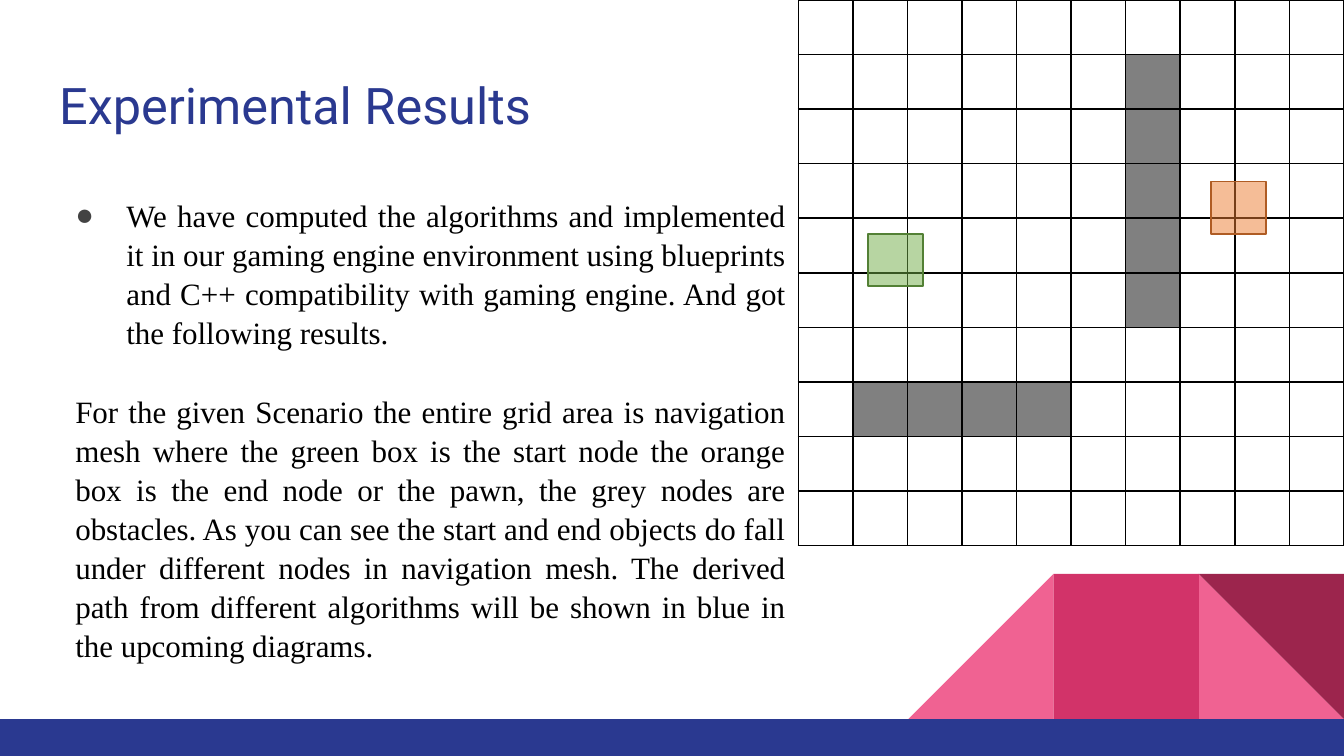
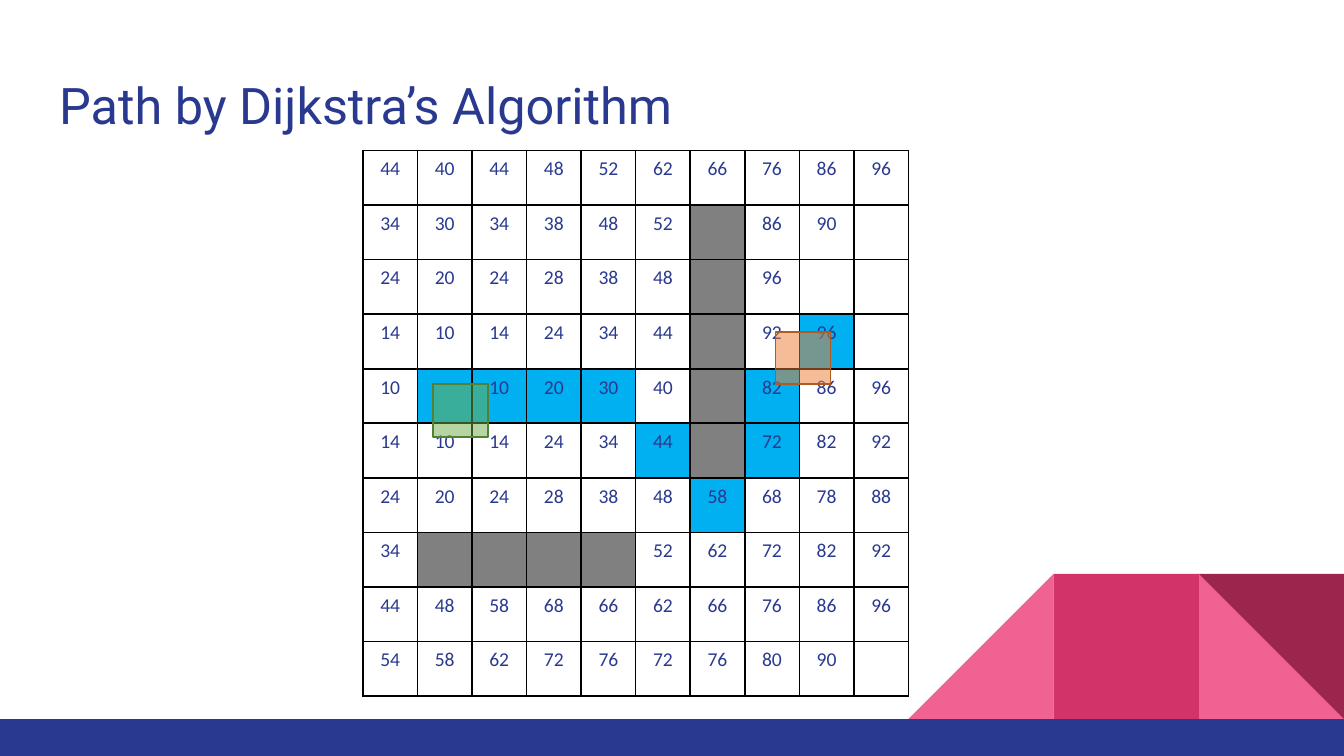
from dataclasses import dataclass

from lxml.etree import SubElement
from pptx import Presentation
from pptx.dml.color import RGBColor
from pptx.enum.shapes import MSO_SHAPE as SHAPE
from pptx.enum.text import MSO_ANCHOR as ANCHOR, MSO_AUTO_SIZE as AUTO, PP_ALIGN as ALIGN
from pptx.oxml.ns import qn
from pptx.util import Emu, Inches, Pt


@dataclass(frozen=True)
class Theme:
    navy: str = "2A3990"
    pink: str = "F06292"
    rose: str = "D23369"
    wine: str = "9C254D"
    ink: str = "000000"
    bullet: str = "434343"
    wall: str = "808080"
    route: str = "00B0F0"
    start: tuple = ("70AD47", "538035")
    goal: tuple = ("ED7D31", "AF5C24")
    title_font: str = "Roboto"
    body_font: str = "Times New Roman"
    cell_font: str = "Calibri"
    title_size: float = 27
    body_size: float = 16.6
    cell_size: float = 10.5


# Lengths are counted in square units: 100 columns across the slide
COLUMNS = 100
CELLS = 10          # cells along each side of the navigation mesh
CELL = 4.06
TILE = 10.8         # side of one decorative tile
BAND_TOP = 53.5

# Navigation mesh as (row, column)
WALLS = {(r, 6) for r in range(1, 6)} | {(7, c) for c in range(1, 5)}
ROUTE = {(4, c) for c in range(1, 5)} | {(5, 5), (6, 6), (5, 7), (4, 7), (3, 8)}
# "-" marks a cell without a cost
COSTS = [row.split() for row in (
    "44 40 44 48 52 62 66 76 86 96",
    "34 30 34 38 48 52 - 86 90 -",
    "24 20 24 28 38 48 - 96 - -",
    "14 10 14 24 34 44 - 92 96 -",
    "10 - 10 20 30 40 - 82 86 96",
    "14 10 14 24 34 44 - 72 82 92",
    "24 20 24 28 38 48 58 68 78 88",
    "34 - - - - 52 62 72 82 92",
    "44 48 58 68 66 62 66 76 86 96",
    "54 58 62 72 76 72 76 80 90 -",
)]


def rgb(color):
    return RGBColor.from_string(color)


def write(p, text, *, font, size, color, align=ALIGN.LEFT, spacing=1.0, before=0):
    p.alignment, p.line_spacing, p.space_before = align, spacing, Pt(before)
    r = p.add_run()
    r.text = text
    r.font.name, r.font.size = font, Pt(size)
    r.font.color.rgb = rgb(color)


def set_bullet(p, left, first, char=None, color=None):
    pPr = p._p.get_or_add_pPr()
    pPr.set("marL", str(Inches(left)))
    pPr.set("indent", str(Inches(first)))
    if char is None:
        SubElement(pPr, qn("a:buNone"))
        return
    SubElement(SubElement(pPr, qn("a:buClr")), qn("a:srgbClr"), val=color)
    SubElement(pPr, qn("a:buFont"), typeface="Arial")
    SubElement(pPr, qn("a:buChar"), char=char)


def set_borders(cell, color, width=1):
    tcPr = cell._tc.get_or_add_tcPr()
    for i, side in enumerate("LRTB"):
        ln = SubElement(tcPr, qn(f"a:ln{side}"), w=str(Pt(width)))
        SubElement(SubElement(ln, qn("a:solidFill")), qn("a:srgbClr"), val=color)
        tcPr.insert(i, ln)  # borders come before the fill


class Deck:
    def __init__(self, theme):
        self.theme = theme
        self.prs = Presentation()
        self.prs.slide_width, self.prs.slide_height = Inches(10), Inches(5.625)
        self.slide = None

    def box(self, *units):
        return [Emu(round(u * self.prs.slide_width / COLUMNS)) for u in units]

    def place(self, sp, *units):
        sp.left, sp.top, sp.width, sp.height = self.box(*units)
        tf = sp.text_frame
        tf.word_wrap, tf.auto_size = True, AUTO.NONE
        tf.margin_left, tf.margin_top, tf.margin_right, tf.margin_bottom = self.box(1, 1, 1, 1)
        return tf

    def add_slide(self, title, layout):
        t = self.theme
        self.slide = self.prs.slides.add_slide(self.prs.slide_layouts.get_by_name(layout))
        self.decorate()
        tf = self.place(self.slide.shapes.title, 3.4, 4.5, 93.2, 6.6)
        tf.vertical_anchor = ANCHOR.MIDDLE
        write(tf.paragraphs[0], title, font=t.title_font, size=t.title_size, color=t.navy)

    def shape(self, kind, units, fill, line=None, alpha=None):
        sp = self.slide.shapes.add_shape(kind, *self.box(*units))
        sp.shadow.inherit = False
        sp.fill.solid()
        sp.fill.fore_color.rgb = rgb(fill)
        if alpha is not None:
            clr = sp._element.spPr.find(qn("a:solidFill"))[0]
            SubElement(clr, qn("a:alpha"), val=str(alpha * 1000))
        if line is None:
            sp.line.fill.background()
        else:
            sp.line.color.rgb, sp.line.width = rgb(line), Pt(1)
        return sp

    def decorate(self):
        """Corner tiles and the bottom band shared by all slides."""
        t = self.theme
        left, middle, right = ((COLUMNS - n * TILE, BAND_TOP - TILE, TILE, TILE)
                               for n in (3, 2, 1))
        self.shape(SHAPE.RIGHT_TRIANGLE, right, t.pink)
        sp = self.shape(SHAPE.RIGHT_TRIANGLE, left, t.pink)
        sp._element.spPr.xfrm.set("flipH", "1")
        self.shape(SHAPE.RECTANGLE, middle, t.rose)
        self.shape(SHAPE.RIGHT_TRIANGLE, right, t.wine).rotation = 180
        self.shape(SHAPE.RECTANGLE, (0, BAND_TOP, COLUMNS, 2.75), t.navy)

    def body(self, bullet, text):
        t = self.theme
        tf = self.place(self.slide.placeholders[1], 3.4, 13.5, 56, 39.9)
        tf.vertical_anchor = ANCHOR.TOP
        style = dict(font=t.body_font, size=t.body_size, color=t.ink,
                     align=ALIGN.JUSTIFY, spacing=1.05)
        p = tf.paragraphs[0]
        set_bullet(p, 0.5, -0.38, "●", t.bullet)
        write(p, bullet, **style)
        p = tf.add_paragraph()
        set_bullet(p, 0.12, 0)
        write(p, text, before=21, **style)

    def mesh(self, x, y, costs=None, route=()):
        """Navigation mesh table with the start and goal boxes on top."""
        t = self.theme
        side = CELLS * CELL
        table = self.slide.shapes.add_table(CELLS, CELLS, *self.box(x, y, side, side)).table
        table.first_row = table.horz_banding = False
        for line in table.columns:
            line.width = self.box(CELL)[0]
        for line in table.rows:
            line.height = self.box(CELL)[0]
        for r in range(CELLS):
            for c in range(CELLS):
                cell = table.cell(r, c)
                cell.margin_left = cell.margin_right = cell.margin_top = Inches(0.05)
                cell.margin_bottom = 0
                fill = t.wall if (r, c) in WALLS else t.route if (r, c) in route else None
                if fill:
                    cell.fill.solid()
                    cell.fill.fore_color.rgb = rgb(fill)
                else:
                    cell.fill.background()
                set_borders(cell, t.ink)
                if costs and costs[r][c] != "-":
                    write(cell.text_frame.paragraphs[0], costs[r][c], font=t.cell_font,
                          size=t.cell_size, color=t.navy, align=ALIGN.CENTER)
        for (fill, line), dx, dy in ((t.goal, 30.7, 13.5), (t.start, 5.2, 17.4)):
            self.shape(SHAPE.RECTANGLE, (x + dx, y + dy, 4.1, 3.9), fill, line, alpha=50)


def main():
    deck = Deck(Theme())

    # Scenario
    deck.add_slide("Experimental Results", "Title and Content")
    deck.body(
        "We have computed the algorithms and implemented it in our gaming engine environment "
        "using blueprints and C++ compatibility with gaming engine. And got the following "
        "results.",
        "For the given Scenario the entire grid area is navigation mesh where the green box is "
        "the start node the orange box is the end node or the pawn, the grey nodes are "
        "obstacles. As you can see the start and end objects do fall under different nodes in "
        "navigation mesh. The derived path from different algorithms will be shown in blue in "
        "the upcoming diagrams.",
    )
    deck.mesh(59.4, 0)

    # Shortest path
    deck.add_slide("Path by Dijkstra’s Algorithm", "Title Only")
    deck.mesh(27, 11.2, COSTS, ROUTE)

    deck.prs.save("out.pptx")


if __name__ == "__main__":
    main()
